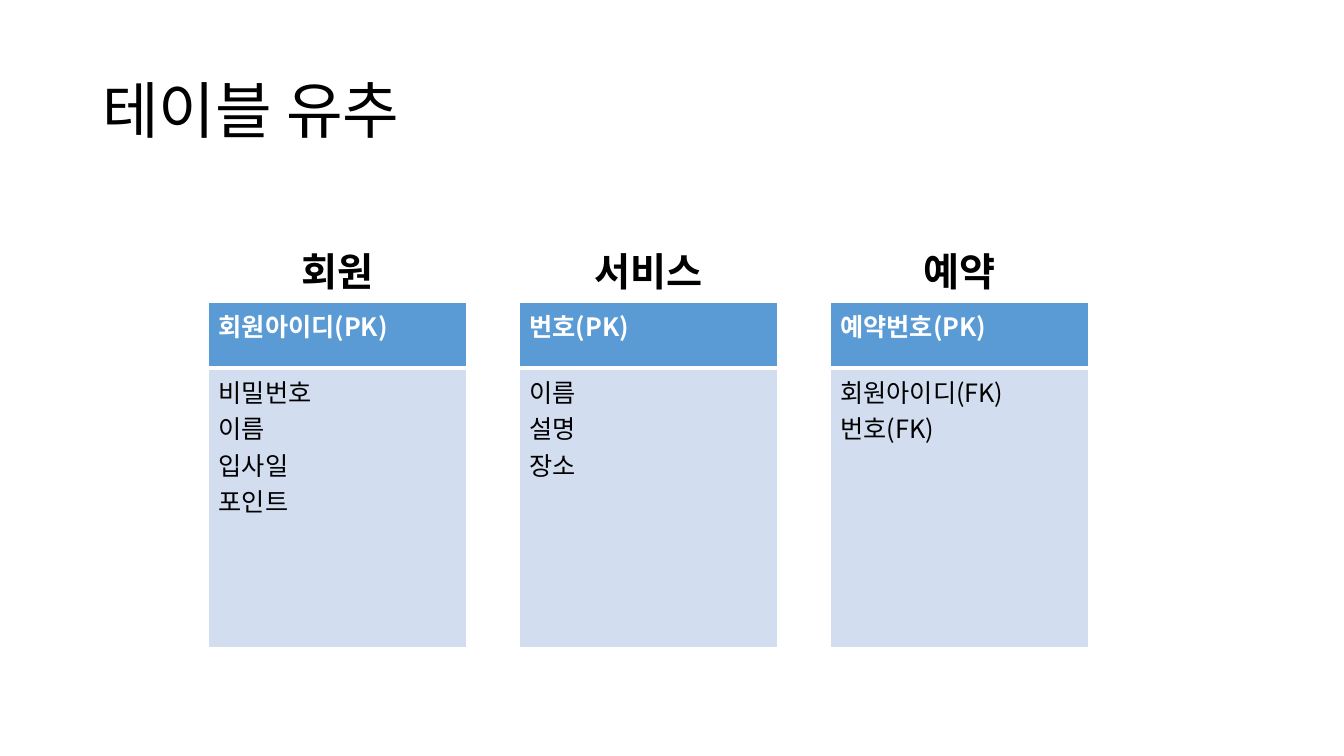
from dataclasses import dataclass

from lxml import etree
from pptx import Presentation
from pptx.dml.color import RGBColor
from pptx.enum import text
from pptx.oxml import ns
from pptx.util import Pt

FONT = "Noto Sans CJK KR"
BLACK = RGBColor(0x00, 0x00, 0x00)
WHITE = RGBColor(0xFF, 0xFF, 0xFF)
KEY_BLUE = RGBColor(0x5B, 0x9B, 0xD5)
FIELD_BLUE = RGBColor(0xD2, 0xDE, 0xEF)

FIRST_LEFT = 149
TABLE_STEP = 222
TABLE_TOP = 216
TABLE_WIDTH = 184.5
KEY_HEIGHT = 46.8
FIELDS_HEIGHT = 199.6
HEADING_TOP = 173
HEADING_HEIGHT = 41


@dataclass(frozen=True)
class Entity:
    name: str
    heading_width: float
    key: str
    fields: tuple[str, ...]


ENTITIES = (
    Entity("회원", 82, "회원아이디(PK)", ("비밀번호", "이름", "입사일", "포인트")),
    Entity("서비스", 119, "번호(PK)", ("이름", "설명", "장소")),
    Entity("예약", 119, "예약번호(PK)", ("회원아이디(FK)", "번호(FK)")),
)


def write_lines(frame, lines: tuple[str, ...], size: float, color: RGBColor,
                bold: bool = False) -> None:
    frame.word_wrap = True
    frame.text = "\n".join(lines)
    for para in frame.paragraphs:
        font = para.font
        font.name = FONT
        font.size = Pt(size)
        font.bold = bold
        font.color.rgb = color
        defaults = para._p.get_or_add_pPr().get_or_add_defRPr()
        etree.SubElement(defaults, ns.qn("a:ea"), typeface=FONT)


def add_label(page, line: str, left: float, top: float, width: float,
              height: float, size: float, bold: bool = False):
    box = page.shapes.add_textbox(Pt(left), Pt(top), Pt(width), Pt(height))
    write_lines(box.text_frame, (line,), size, BLACK, bold)
    return box.text_frame


def add_borders(cell, bottom_width: float) -> None:
    properties = cell._tc.get_or_add_tcPr()
    widths = {"lnL": 1, "lnR": 1, "lnT": 1, "lnB": bottom_width}
    for position, (side, width) in enumerate(widths.items()):
        line = etree.Element(ns.qn(f"a:{side}"), w=str(Pt(width)))
        fill = etree.SubElement(line, ns.qn("a:solidFill"))
        etree.SubElement(fill, ns.qn("a:srgbClr"), val=str(WHITE))
        properties.insert(position, line)


def fill_cell(cell, lines: tuple[str, ...], fill: RGBColor, color: RGBColor,
              bold: bool, bottom_width: float) -> None:
    cell.fill.solid()
    cell.fill.fore_color.rgb = fill
    write_lines(cell.text_frame, lines, 18, color, bold)
    add_borders(cell, bottom_width)


def add_entity(page, entity: Entity, left: float) -> None:
    table = page.shapes.add_table(
        2, 1, Pt(left), Pt(TABLE_TOP), Pt(TABLE_WIDTH),
        Pt(KEY_HEIGHT + FIELDS_HEIGHT)).table
    table.rows[0].height = Pt(KEY_HEIGHT)
    table.rows[1].height = Pt(FIELDS_HEIGHT)
    fill_cell(table.cell(0, 0), (entity.key,), KEY_BLUE, WHITE, True, 3)
    fill_cell(table.cell(1, 0), entity.fields, FIELD_BLUE, BLACK, False, 1)

    heading_left = left + (TABLE_WIDTH - entity.heading_width) / 2
    heading = add_label(page, entity.name, heading_left, HEADING_TOP,
                        entity.heading_width, HEADING_HEIGHT, 28, True)
    heading.paragraphs[0].alignment = text.PP_ALIGN.CENTER


def main() -> None:
    deck = Presentation()
    deck.slide_width = Pt(960)
    deck.slide_height = Pt(540)
    page = deck.slides.add_slide(deck.slide_layouts[6])

    title = add_label(page, "테이블 유추", 66, 28.8, 828, 104.4, 44)
    title.vertical_anchor = text.MSO_ANCHOR.MIDDLE
    title.paragraphs[0].line_spacing = 0.9

    for index, entity in enumerate(ENTITIES):
        add_entity(page, entity, FIRST_LEFT + index * TABLE_STEP)

    deck.save("out.pptx")


if __name__ == "__main__":
    main()
